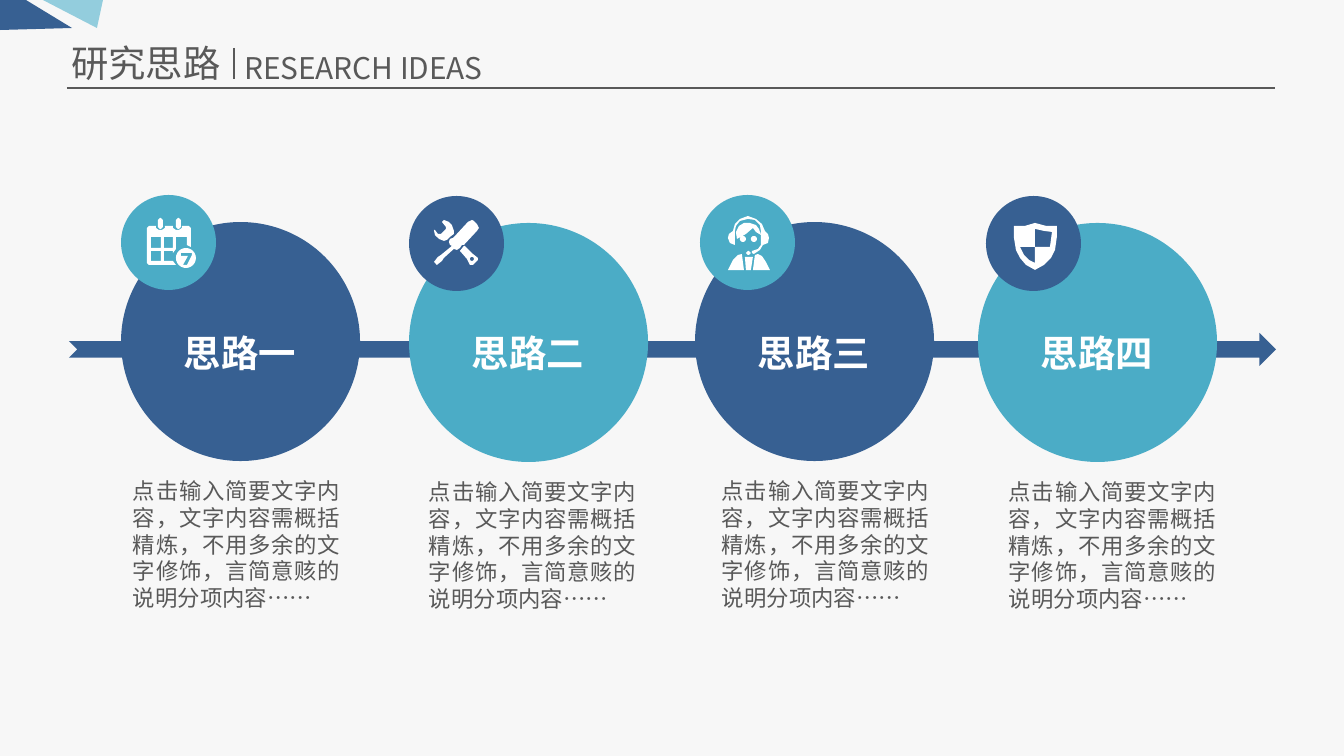
"""Build the research ideas slide: four circles along an arrow."""
from math import cos, pi, sin

from lxml.etree import SubElement
from pptx import Presentation
from pptx.dml.color import RGBColor
from pptx.enum.shapes import MSO_CONNECTOR as Link, MSO_SHAPE as Kind
from pptx.enum.text import MSO_AUTO_SIZE as Fit, PP_ALIGN as Align
from pptx.oxml.ns import qn
from pptx.util import Pt

UNIT = 914400 / 134.4
FONT = "Noto Sans CJK SC"
BLUE = RGBColor(0x37, 0x60, 0x92)
TEAL = RGBColor(0x4B, 0xAC, 0xC6)
SKY = RGBColor(0x93, 0xCD, 0xDD)
GREY = RGBColor(0x59, 0x59, 0x59)
PALE = RGBColor(0xF7, 0xF7, 0xF7)
WHITE = RGBColor(0xFF, 0xFF, 0xFF)
BODY = "点击输入简要文字内容，文字内容需概括精炼，不用多余的文字修饰，言简意赅的说明分项内容……"


def px(num):
    return round(num * UNIT)


def box(left, top, right, base):
    return [(left, top), (right, top), (right, base), (left, base)]


def dot(x, y, rad):
    turns = [pi * step / 12 for step in range(24)]
    return [(x + rad * cos(turn), y + rad * sin(turn)) for turn in turns]


def pill(left, top, right, base):
    return [(left, top + 2), (left + 2, top), (right - 2, top), (right, top + 2),
            (right, base - 2), (right - 2, base), (left + 2, base), (left, base - 2)]


DATE = [
    [(147, 228), (149, 226), (156, 226), (156, 228), (159, 230), (162, 230),
     (165, 228), (165, 226), (173, 226), (173, 228), (176, 230), (179, 230),
     (182, 228), (182, 226), (189, 226), (191, 228), (191, 247), (187, 245),
     (187, 237), (176, 237), (176, 249), (173, 253), (173, 251), (164, 251),
     (164, 261), (173, 261), (176, 265), (149, 265), (147, 263)],
    pill(158, 218, 163, 229), pill(176, 218, 181, 229),
    box(151, 237, 161, 248), box(164, 237, 173, 248), box(151, 251, 161, 261),
    dot(186, 258, 10),
    [(181, 253), (192, 253), (192, 255), (187, 265), (183, 265), (188, 256), (181, 256)],
]
TOOLS = [
    [(450, 237), (454, 234), (454, 231), (452, 225), (449, 222), (444, 220),
     (442, 222), (446, 227), (446, 229), (441, 234), (438, 234), (435, 230),
     (434, 230), (435, 235), (439, 239), (444, 241), (447, 240)],
    [(464, 246), (460, 251), (467, 259), (470, 265), (473, 265), (478, 260),
     (478, 258), (473, 254), (465, 246)],
    dot(472, 259, 2),
    [(477, 224), (474, 221), (472, 220), (468, 222), (456, 235), (453, 238),
     (450, 239), (449, 242), (450, 245), (452, 246), (441, 255), (438, 257),
     (434, 262), (437, 265), (442, 261), (444, 258), (454, 249), (457, 250),
     (460, 248), (462, 245), (464, 245), (477, 231), (479, 228)],
]
AGENT = [
    [(733, 231), (735, 224), (740, 219), (748, 216), (756, 219), (762, 224),
     (765, 231), (768, 234), (769, 238), (768, 243), (763, 245), (760, 250),
     (754, 254), (752, 253), (752, 251), (758, 249), (761, 245), (761, 231),
     (760, 225), (755, 220), (748, 219), (740, 221), (736, 226), (735, 231),
     (735, 245), (730, 243), (728, 238), (729, 234)],
    [(737, 239), (736, 232), (739, 226), (744, 223), (750, 223), (756, 225),
     (759, 229), (761, 235), (756, 232), (753, 228), (746, 234)],
    dot(743, 239, 3), dot(754, 239, 3), pill(746, 251, 751, 255),
    [(755, 255), (758, 254), (762, 256), (766, 262), (770, 270), (753, 270)],
    [(728, 270), (733, 260), (738, 255), (742, 254), (744, 270)],
    [(745, 257), (753, 257), (751, 270), (746, 270)],
]
SHIELD = [
    [(1014, 226), (1025, 226), (1035, 223), (1046, 226), (1057, 226), (1057, 236),
     (1055, 250), (1051, 258), (1044, 265), (1035, 270), (1026, 265), (1020, 258),
     (1016, 250), (1014, 238)],
    [(1035, 247), (1050, 247), (1052, 232), (1044, 231), (1035, 229)],
    [(1035, 247), (1020, 247), (1024, 255), (1029, 260), (1035, 263)],
]
ITEMS = [
    ("思路一", BLUE, TEAL, 121, 222, 121, 133, DATE),
    ("思路二", TEAL, BLUE, 409, 223, 409, 429, TOOLS),
    ("思路三", BLUE, TEAL, 695, 222, 700, 722, AGENT),
    ("思路四", TEAL, BLUE, 978, 223, 986, 1009, SHIELD),
]


def paint(shape, fill):
    shape.shadow.inherit = False
    shape.fill.solid()
    shape.fill.fore_color.rgb = fill
    shape.line.fill.background()


def add_form(slide, kind, area, fill):
    shape = slide.shapes.add_shape(kind, *map(px, area))
    paint(shape, fill)
    return shape


def add_path(slide, loops, fill):
    first = loops[0][0]
    pen = slide.shapes.build_freeform(px(first[0]), px(first[1]), scale=1)
    for num, loop in enumerate(loops):
        spots = [(px(x), px(y)) for x, y in loop]
        if num:
            pen.move_to(*spots[0])
        pen.add_line_segments(spots[1:], close=True)
    paint(pen.convert_to_shape(), fill)


def add_line(slide, ends, width):
    line = slide.shapes.add_connector(Link.STRAIGHT, *map(px, ends))
    line.line.color.rgb = GREY
    line.line.width = Pt(width)
    SubElement(line._element.spPr, qn("a:effectLst"))


def write(shape, text, size, color=GREY, align=Align.LEFT, bold=False):
    frame = shape.text_frame
    frame.auto_size = Fit.SHAPE_TO_FIT_TEXT
    frame.word_wrap = False
    para = frame.paragraphs[0]
    para.alignment = align
    run = para.add_run()
    run.text = text
    font = run.font
    font.name, font.size, font.bold = FONT, Pt(size), bold
    font.color.rgb = color
    SubElement(font._element, qn("a:ea")).set("typeface", FONT)
    return frame


def add_text(slide, area, text, size, align=Align.LEFT):
    return write(slide.shapes.add_textbox(*map(px, area)), text, size, align=align)


def add_body(slide, left, top):
    frame = add_text(slide, (left, top, 207, 136), BODY, 12, Align.JUSTIFY)
    frame.word_wrap = True
    frame.margin_left = frame.margin_right = 0
    frame.margin_top = frame.margin_bottom = 0


def add_item(slide, name, main_fill, side_fill, left, top, badge, text, icon):
    add_body(slide, text, top + 255)
    add_form(slide, Kind.OVAL, (left, top, 239, 239), main_fill)
    label = add_form(slide, Kind.RECTANGLE, (left + 49, 323, 140, 59), main_fill)
    write(label, name, 20, WHITE, Align.CENTER, True)
    add_form(slide, Kind.OVAL, (badge, top - 27, 95, 95), side_fill)
    add_path(slide, icon, WHITE)


def add_head(slide):
    add_line(slide, (67, 88, 1275, 88), 0.75)
    add_path(slide, [[(43, 0), (97, 28), (103, 0)]], SKY)
    add_path(slide, [[(72, 28), (26, 0), (0, 0), (0, 30)]], BLUE)
    add_text(slide, (58, 34, 177, 59), "研究思路", 20)
    add_text(slide, (231, 43, 278, 50), "RESEARCH IDEAS", 16)
    add_line(slide, (234, 48, 234, 79), 1.5)


def main():
    deck = Presentation()
    deck.slide_width, deck.slide_height = px(1344), px(756)
    slide = deck.slides.add_slide(deck.slide_layouts[6])
    back = slide.background.fill
    back.solid()
    back.fore_color.rgb = PALE
    add_head(slide)
    add_form(slide, Kind.NOTCHED_RIGHT_ARROW, (69, 333, 1207, 33), BLUE)
    for item in ITEMS:
        add_item(slide, *item)
    deck.save("out.pptx")


if __name__ == "__main__":
    main()
